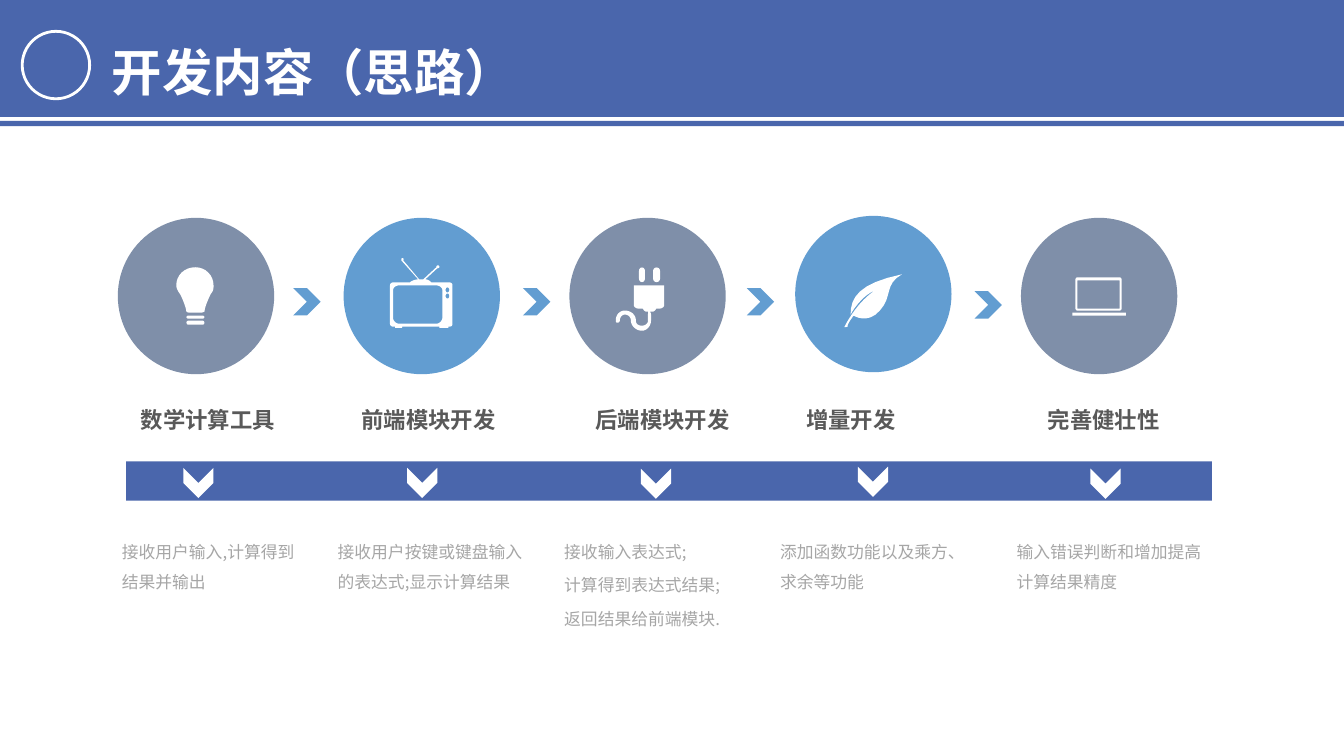
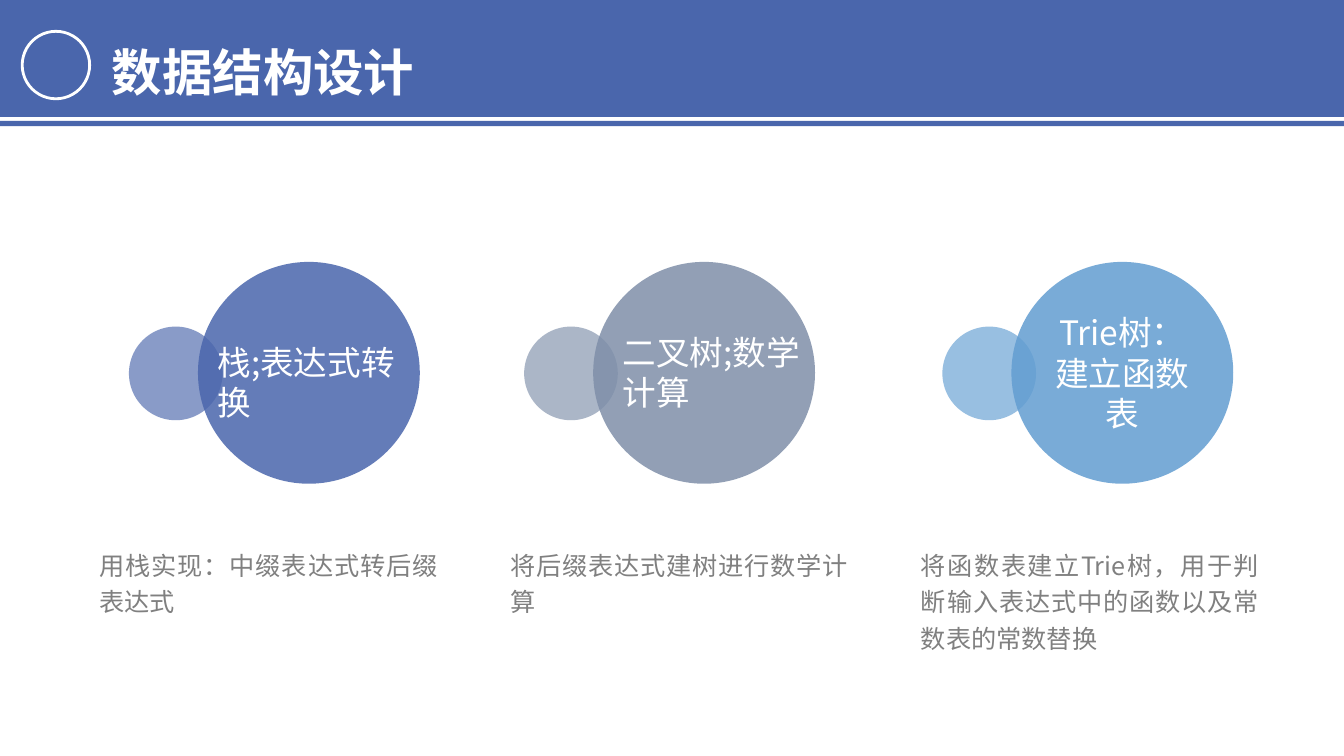
"""Build two slides on a calculator project: development steps and data structures."""
from dataclasses import dataclass
from typing import Optional

from lxml.etree import SubElement
from pptx import Presentation
from pptx.dml.color import RGBColor
from pptx.enum.shapes import MSO_SHAPE as Shp
from pptx.enum.text import MSO_ANCHOR as Anchor, MSO_AUTO_SIZE as Auto, PP_ALIGN as Align
from pptx.oxml.ns import qn
from pptx.util import Cm, Pt


@dataclass(frozen=True)
class Theme:
    navy: str = "4A66AC"
    blue: str = "629DD1"
    slate: str = "7F8FA9"
    white: str = "FFFFFF"
    heading: str = "595959"
    body: str = "808080"
    note: str = "A6A6A6"
    font: str = "Noto Sans CJK SC"
    title_pt: int = 36
    topic_pt: int = 24
    body_pt: int = 18
    step_pt: int = 16
    note_pt: int = 12


T = Theme()
WIDTH, HEIGHT = 33.87, 19.05
ICON_UNIT = 0.0254
CURVE_STEPS = 8


@dataclass(frozen=True)
class Step:
    label: str
    note: str
    icon: str
    color: str
    label_x: float
    marker_x: float
    marker_y: float
    note_x: float
    circle_y: float = 5.49


@dataclass(frozen=True)
class Topic:
    label: str
    detail: str
    color: str
    x: float
    label_at: Optional[tuple[float, float]] = None


BULB = """M95,67 C95,57 87,49 77,49 C66,49 58,57 58,67 C58,69 59,71 60,73 L62,76
C65,82 68,90 68,93 C68,93 69,94 71,94 L83,94 C84,94 86,93 86,93 C86,90 89,82 92,76
L94,73 C95,71 95,69 95,67 Z
M70,97 L84,97 C86.5,97 86.5,100 84,100 L70,100 C67.5,100 67.5,97 70,97 Z
M70,102 L84,102 C86.5,102 86.5,106 84,106 L70,106 C67.5,106 67.5,102 70,102 Z"""
TV = """M104,64 L87,64 C86,63 84,61 81,61 L93,50 C95,50 95,49 95,48.5
C95,47 93,46.5 92,48 L92,49 L79,61 L75,61 L59,42 C60,41 60,40 58,40 C57,40 57,43 58,43
L74,61 C71,61 66,63 66,64 L49,64 C48,64 46,65 46,67 L46,105 C46,107 48,108 49,108
L51,108 L51,109 L58,109 L58,108 L95,108 L95,109 L104,109 L104,108
C107,108 108,107 108,105 L108,67 C108,65 107,64 104,64 Z
M98,99 C98,102 95,105 92,105 L55,105 C52,105 49,102 49,99 L49,72 C49,69 52,67 55,67
L92,67 C95,67 98,69 98,72 Z
M103,80 C100.5,80 100.5,75 103,75 C105.5,75 105.5,80 103,80 Z
M103,74 C100.5,74 100.5,69 103,69 C105.5,69 105.5,74 103,74 Z"""
PLUG = """M69,53 C69,48 75,48 75,53 L75,60 C75,65 69,65 69,60 Z
M83,53 C83,48 90,48 90,53 L90,60 C90,65 83,65 83,60 Z
M64,67 L94,67 L94,87 C94,88 92,90 90,90 L86,90 C86,91 84,93 83,93 L76,93
C75,93 73,91 73,90 L68,90 C66,90 64,88 64,87 Z
M79,93 C78,93 78,94 78,96 L78,102 C78,105 75,107 72,107 C68,107 66,105 66,102
C66,96 61,92 55,92 C50,92 46,96 46,102 C46,103 46,104 48,104 C49,104 50,103 50,102
C50,99 52,96 55,96 C59,96 61,99 61,102 C61,107 66,112 72,112 C77,112 81,107 81,102
L81,96 C81,94 80,93 79,93 Z"""
LEAF = """M49,110 C49,110 48,111 52,110 C51,108 58,99 58,99 C58,99 72,108 84,94
C97,80 88,68 106,58 C63,67 55,81 55,98 C59,90 69,78 79,74 C63,85 53,102 49,110 Z"""
LAPTOP = """M51,94 L104,94 L104,97 L51,97 Z
M98,59 L56,59 C55,59 54,60 54,62 L54,89 C54,91 55,92 56,92 L98,92
C99,92 100,91 100,89 L100,62 C100,60 99,59 98,59 Z M98,90 L56,90 L56,62 L98,62 Z"""

STEPS = [
    Step("数学计算工具", "接收用户输入,计算得到结果并输出", BULB, T.slate,
         3.3, 4.62, 11.79, 2.82),
    Step("前端模块开发", "接收用户按键或键盘输入的表达式;显示计算结果", TV, T.blue,
         8.86, 10.26, 11.79, 8.26),
    Step("后端模块开发", "接收输入表达式;\n计算得到表达式结果;\n返回结果给前端模块.", PLUG, T.slate,
         14.76, 16.15, 11.81, 13.97),
    Step("增量开发", "添加函数功能以及乘方、求余等功能", LEAF, T.blue,
         20.07, 21.62, 11.76, 19.41, circle_y=5.44),
    Step("完善健壮性", "输入错误判断和增加提高计算结果精度", LAPTOP, T.slate,
         26.16, 27.48, 11.81, 25.37),
]
ARROWS = [(7.39, 7.26), (13.18, 7.26), (18.82, 7.26), (24.56, 7.34)]
TOPICS = [
    Topic("栈;表达式转换", "用栈实现：中缀表达式转后缀表达式", T.navy, 3.25, (5.23, 8.48)),
    Topic("二叉树;数学计算", "将后缀表达式建树进行数学计算", T.slate, 13.21, (15.44, 8.23)),
    Topic("Trie树：建立函数表",
          "将函数表建立Trie树，用于判断输入表达式中的函数以及常数表的常数替换", T.blue, 23.75),
]


def paint(sp, color: str, alpha: int = 100, line: Optional[str] = None) -> None:
    sp.shadow.inherit = False
    sp.fill.solid()
    sp.fill.fore_color.rgb = RGBColor.from_string(color)
    if alpha < 100:
        clr = sp.element.spPr.find(qn("a:solidFill")).find(qn("a:srgbClr"))
        SubElement(clr, qn("a:alpha")).set("val", str(alpha * 1000))
    if line:
        sp.line.color.rgb = RGBColor.from_string(line)
        sp.line.width = Pt(2)
    else:
        sp.line.fill.background()


def shape(s, kind, x: float, y: float, w: float, h: float, color: str,
          alpha: int = 100, line: Optional[str] = None, rotation: float = 0):
    sp = s.shapes.add_shape(kind, Cm(x), Cm(y), Cm(w), Cm(h))
    paint(sp, color, alpha, line)
    sp.rotation = rotation
    return sp


def write(sp, text: str, *, size: float, color: str, bold: bool = False, align=Align.LEFT,
          spacing: Optional[float] = None, before: float = 0) -> None:
    tf = sp.text_frame
    tf.word_wrap = True
    for i, line in enumerate(text.split("\n")):
        p = tf.add_paragraph() if i else tf.paragraphs[0]
        p.alignment = align
        p.line_spacing = spacing
        p.space_before = Pt(before)
        r = p.add_run()
        r.text = line
        r.font.name = T.font
        r.font.size = Pt(size)
        r.font.bold = bold
        r.font.color.rgb = RGBColor.from_string(color)
    for props in sp.element.iter(qn("a:rPr")):
        SubElement(props, qn("a:ea")).set("typeface", T.font)


def textbox(s, text: str, x: float, y: float, w: float, h: float, **fmt) -> None:
    sp = s.shapes.add_textbox(Cm(x), Cm(y), Cm(w), Cm(h))
    sp.text_frame.auto_size = Auto.SHAPE_TO_FIT_TEXT
    write(sp, text, **fmt)


def bezier(a, b, c, d) -> list[tuple[float, float]]:
    pts = []
    for i in range(1, CURVE_STEPS + 1):
        t = i / CURVE_STEPS
        u = 1 - t
        pts.append(tuple(u**3 * k + 3 * u * u * t * m + 3 * u * t * t * n + t**3 * q
                         for k, m, n, q in zip(a, b, c, d)))
    return pts


def contours(icon: str) -> list[list[tuple[float, float]]]:
    result = []
    for part in icon.split("Z"):
        pts, controls = [], []
        for token in part.split():
            x, y = (float(v) for v in token.lstrip("MLC").split(","))
            if token[0] == "C" or controls:
                controls.append((x, y))
                if len(controls) == 3:
                    pts += bezier(pts[-1], *controls)
                    controls = []
            else:
                pts.append((x, y))
        if pts:
            result.append(pts)
    return result


def draw_icon(s, icon: str, x: float, y: float) -> None:
    builder = None
    for pts in contours(icon):
        placed = [(Cm(x + px * ICON_UNIT), Cm(y + py * ICON_UNIT)) for px, py in pts]
        if builder is None:
            builder = s.shapes.build_freeform(*placed[0])
        else:
            builder.move_to(*placed[0])
        builder.add_line_segments(placed[1:], close=True)
    paint(builder.convert_to_shape(), T.white)


def new_slide(prs, title: str):
    s = prs.slides.add_slide(prs.slide_layouts[6])
    shape(s, Shp.RECTANGLE, 0, 0, WIDTH, 2.95, T.navy)
    shape(s, Shp.RECTANGLE, 0, 3.05, WIDTH, 0.13, T.navy)
    shape(s, Shp.OVAL, 0.56, 0.79, 1.7, 1.7, T.navy, line=T.white)
    textbox(s, title, 2.57, 0.15, 15.85, 2.34,
            size=T.title_pt, color=T.white, bold=True, spacing=1.5)
    return s


def steps_slide(prs) -> None:
    s = new_slide(prs, "开发内容（思路）")
    shape(s, Shp.RECTANGLE, 3.18, 11.63, 27.36, 0.99, T.navy)
    for i, step in enumerate(STEPS):
        x = 2.97 + 5.69 * i
        shape(s, Shp.OVAL, x, step.circle_y, 3.94, 3.94, step.color)
        draw_icon(s, step.icon, x, step.circle_y)
        textbox(s, step.label, step.label_x, 10.11, 5.74, 0.94,
                size=T.step_pt, color=T.heading, bold=True)
        shape(s, Shp.CHEVRON, step.marker_x, step.marker_y, 0.76, 0.76, T.white, rotation=90)
        textbox(s, step.note, step.note_x, 13.26, 5.16, 2.2,
                size=T.note_pt, color=T.note, spacing=1.5, before=2.4)
    for x, y in ARROWS:
        shape(s, Shp.CHEVRON, x, y, 0.69, 0.69, T.blue)


def topics_slide(prs) -> None:
    s = new_slide(prs, "数据结构设计")
    for i, topic in enumerate(TOPICS):
        shape(s, Shp.OVAL, topic.x, 8.23, 2.36, 2.36, topic.color, alpha=65)
        disc = shape(s, Shp.OVAL, topic.x + 1.74, 6.6, 5.59, 5.59, topic.color, alpha=85)
        if topic.label_at:
            textbox(s, topic.label, *topic.label_at, 5.23, 2.31,
                    size=T.topic_pt, color=T.white)
        else:
            disc.text_frame.vertical_anchor = Anchor.MIDDLE
            write(disc, topic.label, size=T.topic_pt, color=T.white, align=Align.CENTER)
        textbox(s, topic.detail, 2.26 + 10.35 * i, 13.59, 9.02, 2.03,
                size=T.body_pt, color=T.body, align=Align.JUSTIFY, spacing=1.2)


def main() -> None:
    prs = Presentation()
    prs.slide_width, prs.slide_height = Cm(WIDTH), Cm(HEIGHT)
    steps_slide(prs)
    topics_slide(prs)
    prs.save("out.pptx")


if __name__ == "__main__":
    main()
